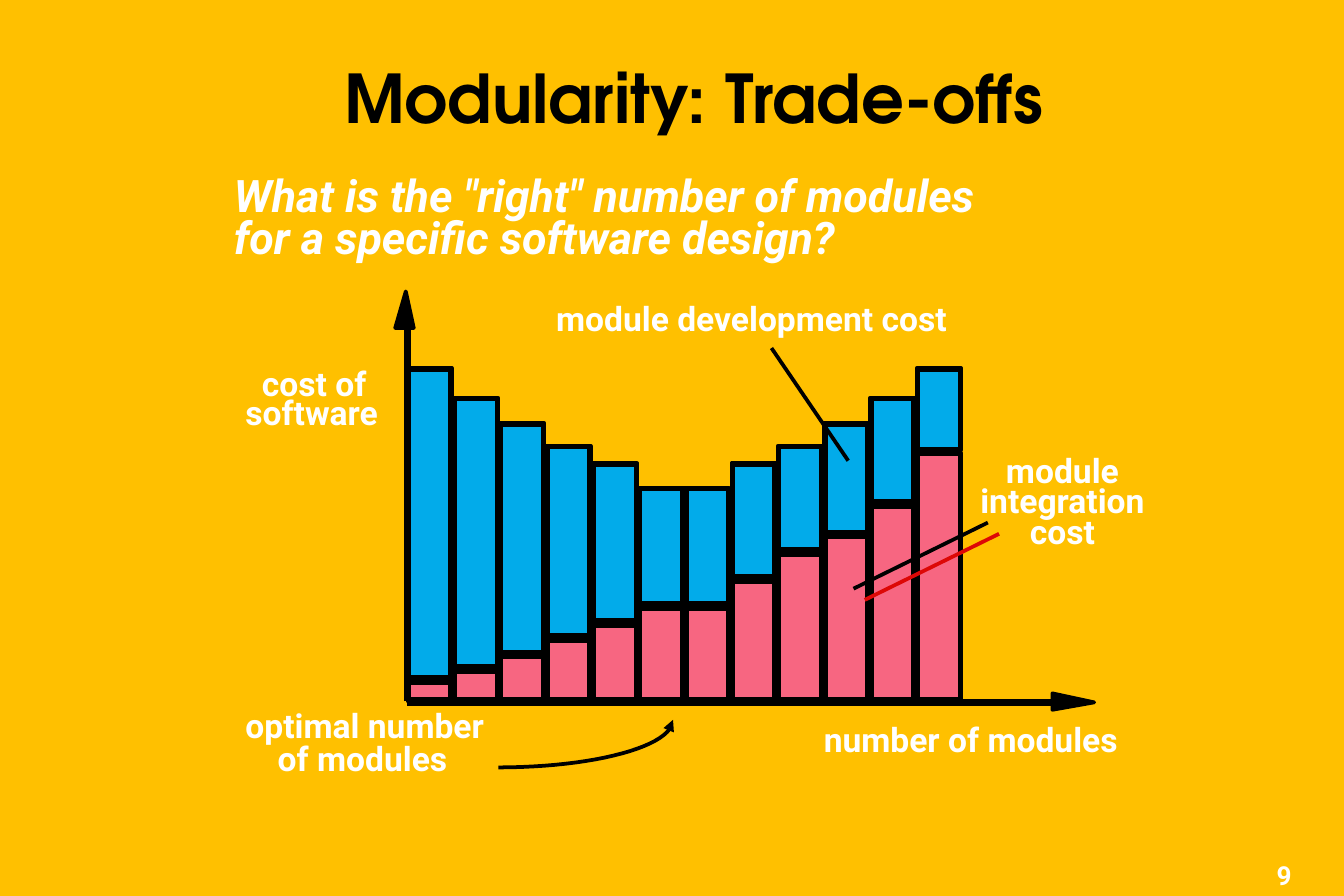
from math import cos, pi, sin

from lxml.etree import SubElement
from pptx import Presentation
from pptx.dml.color import RGBColor
from pptx.enum.shapes import MSO_CONNECTOR, MSO_SHAPE
from pptx.enum.text import PP_ALIGN
from pptx.oxml.ns import qn
from pptx.util import Cm, Pt

AMBER = RGBColor(0xFF, 0xC0, 0x00)
BLACK = RGBColor(0x00, 0x00, 0x00)
WHITE = RGBColor(0xFF, 0xFF, 0xFF)
BLUE = RGBColor(0x02, 0xAB, 0xEA)
PINK = RGBColor(0xF7, 0x66, 0x81)

presentation = Presentation()
presentation.slide_width = Cm(25.4)
presentation.slide_height = Cm(16.94)
slide = presentation.slides.add_slide(presentation.slide_layouts[6])
slide.background.fill.solid()
slide.background.fill.fore_color.rgb = AMBER
shapes = slide.shapes


def add_text(text, left, top, width, height, size, color=WHITE, font="Roboto",
             italic=False, align=PP_ALIGN.LEFT, spacing=1.0, inset=0.25):
    frame = shapes.add_textbox(Cm(left), Cm(top), Cm(width), Cm(height)).text_frame
    frame.word_wrap = True
    frame.margin_left = frame.margin_right = Cm(inset)
    frame.margin_top = frame.margin_bottom = Cm(inset / 2)
    frame.text = text
    for paragraph in frame.paragraphs:
        paragraph.alignment = align
        paragraph.line_spacing = spacing
        for run in paragraph.runs:
            run.font.name = font
            run.font.size = Pt(size)
            run.font.bold = True
            run.font.italic = italic
            run.font.color.rgb = color


def add_line(x1, y1, x2, y2, weight):
    line = shapes.add_connector(MSO_CONNECTOR.STRAIGHT, Cm(x1), Cm(y1), Cm(x2), Cm(y2))
    line.line.color.rgb = BLACK
    line.line.width = Pt(weight)
    return SubElement(line._element.spPr, qn("a:effectLst"))


# Title, question and slide number
add_text("Modularity: Trade-offs", 6.1, 1.17, 14.02, 1.5, 36, BLACK,
         "TeX Gyre Adventor", align=PP_ALIGN.CENTER, spacing=0.88, inset=0.18)
add_text('What is the "right" number of modules', 4.17, 3.05, 16.26, 1.27, 24, italic=True)
add_text("for a specific software design?", 4.17, 3.84, 12.93, 1.27, 24, italic=True)
add_text("9", 23.95, 16.23, 0.97, 0.69, 14, spacing=0.9, inset=0.18)

# Stacked cost bars: each part is a filled rectangle inside a frame
BAR_LEFT, BAR_PITCH, BAR_WIDTH, BASE = 7.7, 0.875, 0.84, 13.25
INSET, GAP = 0.03, 0.05
falling_tops = [6.96, 7.52, 8.0, 8.43, 8.76, 9.22]
total_tops = falling_tops + falling_tops[::-1]
integration_tops = [12.88, 12.67, 12.4, 12.09, 11.81, 11.48,
                    11.48, 10.97, 10.46, 10.13, 9.55, 8.56]
for index, (total_top, integration_top) in enumerate(zip(total_tops, integration_tops)):
    left = BAR_LEFT + index * BAR_PITCH
    parts = [(integration_top, BASE, PINK), (total_top, integration_top - GAP, BLUE)]
    for top, bottom, color in parts:
        for inset in (INSET, 0):
            shape = shapes.add_shape(
                MSO_SHAPE.RECTANGLE, Cm(left + inset), Cm(top + inset),
                Cm(BAR_WIDTH - 2 * inset), Cm(bottom - top - 2 * inset))
            shape.shadow.inherit = False
            shape.line.color.rgb = BLACK
            shape.line.width = Pt(2)
            if inset:
                shape.fill.solid()
                shape.fill.fore_color.rgb = color
            else:
                shape.fill.background()

# Axes
add_line(7.7, 13.28, 19.86, 13.28, 4)
add_line(7.7, 13.26, 7.7, 6.17, 4)

# Axis arrowheads and the curved pointer to the optimum
curve = [(9.42 + 3.3 * cos(step * pi / 48), 13.61 + 0.9 * sin(step * pi / 48))
         for step in range(25)]
outlines = [
    ([(20.68, 13.28), (19.89, 13.42), (19.89, 13.11)], True),
    ([(7.67, 5.51), (7.82, 6.2), (7.47, 6.2)], True),
    (curve, False),
]
for points, closed in outlines:
    points = [(Cm(x), Cm(y)) for x, y in points]
    builder = shapes.build_freeform(*points[0])
    builder.add_line_segments(points[1:], close=closed)
    shape = builder.convert_to_shape()
    shape.shadow.inherit = False
    shape.line.color.rgb = BLACK
    shape.line.width = Pt(2)
    if closed:
        shape.fill.solid()
        shape.fill.fore_color.rgb = BLACK
    else:
        shape.fill.background()
        SubElement(shape.line._get_or_add_ln(), qn("a:headEnd"), type="triangle")

# Labels
labels = [
    ("optimal number", 4.39, 13.21, 5.26),
    ("of modules", 5.0, 13.82, 4.2),
    ("cost of", 4.7, 6.73, 2.9),
    ("software", 4.39, 7.29, 3.3),
    ("number of modules", 15.32, 13.46, 6.4),
    ("module development cost", 10.26, 5.51, 8.51),
]
for text, left, top, width in labels:
    add_text(text, left, top, width, 1.02, 18)
add_text("module\nintegration\ncost", 18.19, 8.56, 3.78, 1.96, 18,
         align=PP_ALIGN.CENTER, spacing=0.75)

# Leader lines, the second with a red shadow
add_line(14.58, 6.58, 16.03, 8.71, 2)
effects = add_line(18.67, 9.88, 16.13, 11.13, 2)
shadow = SubElement(effects, qn("a:outerShdw"), dist=str(Pt(8.5)), dir="2700000",
                    algn="ctr", rotWithShape="0")
SubElement(shadow, qn("a:srgbClr"), val="DD0806")

presentation.save("out.pptx")
